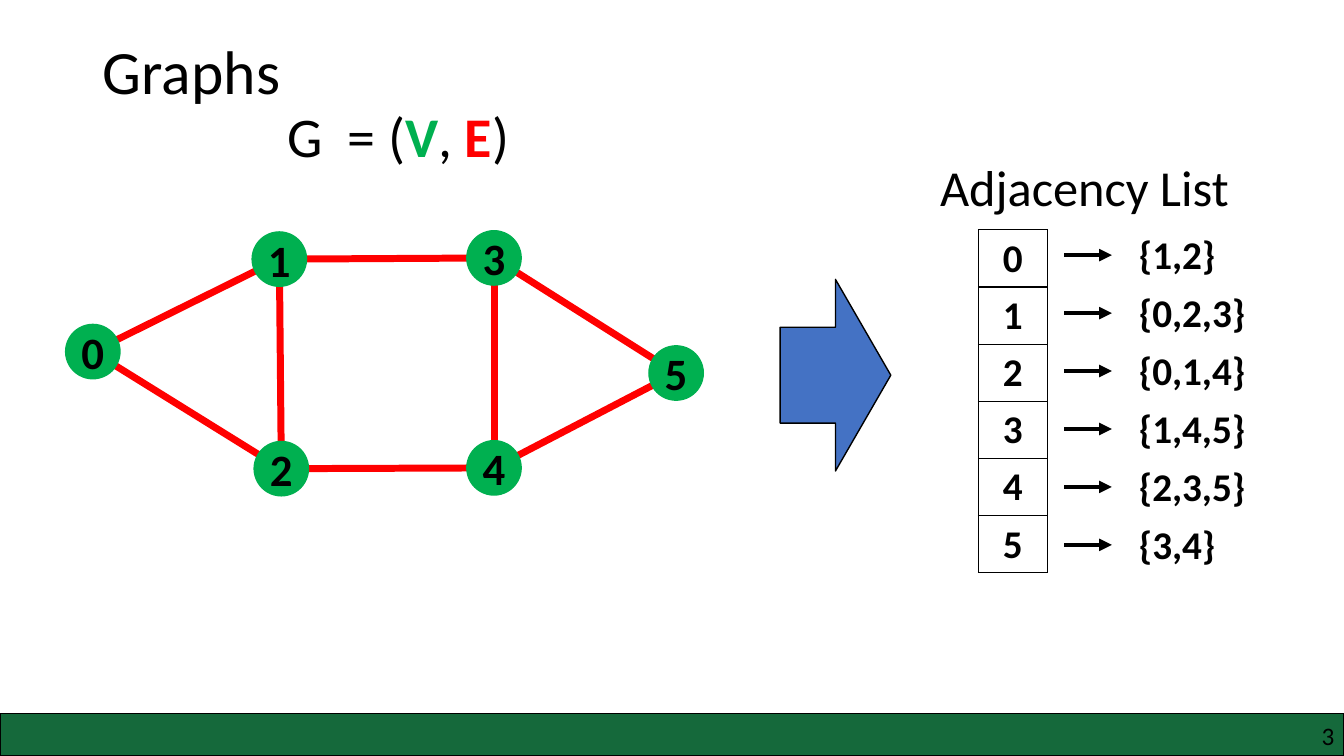
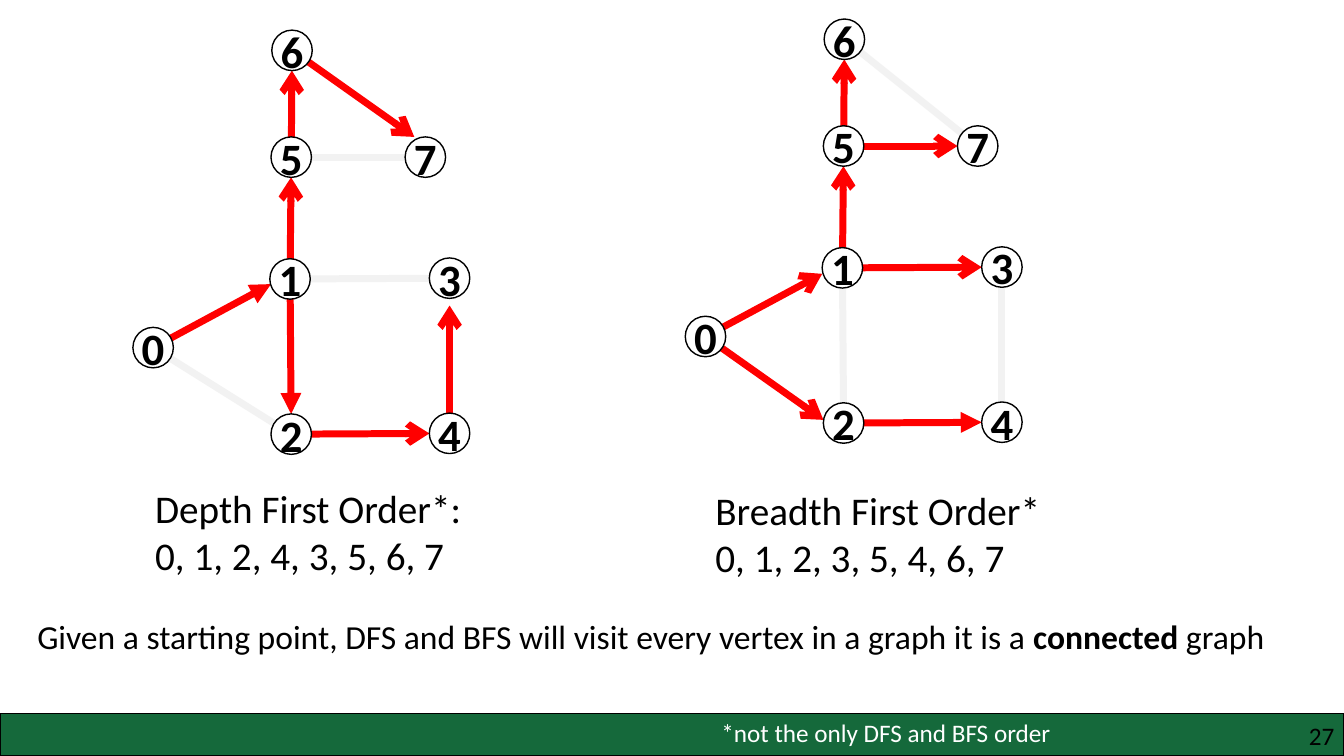
from math import hypot

from lxml.etree import SubElement
from pptx import Presentation
from pptx.dml.color import RGBColor
from pptx.enum.shapes import MSO_CONNECTOR, MSO_SHAPE
from pptx.enum.text import MSO_ANCHOR, PP_ALIGN
from pptx.oxml.ns import qn
from pptx.util import Cm, Pt

BLACK = RGBColor(0x00, 0x00, 0x00)
WHITE = RGBColor(0xFF, 0xFF, 0xFF)
RED = RGBColor(0xFF, 0x00, 0x00)
GREEN = RGBColor(0x00, 0xB0, 0x50)
BAND_GREEN = RGBColor(0x15, 0x69, 0x3B)
BLUE = RGBColor(0x44, 0x72, 0xC4)
PALE_GREY = RGBColor(0xF2, 0xF2, 0xF2)

FONT = "Calibri"
WIDTH, HEIGHT = 33.87, 19.05
BAND_TOP = 17.98
TITLE_ONLY, BLANK = 5, 6
EDGE_WIDTH = 5

# Vertex centres in cm, indexed by vertex number
SIMPLE_NODES = [(2.34, 8.86), (7.04, 6.53), (7.09, 11.81),
                (12.45, 6.5), (12.45, 11.79), (17.04, 9.4)]
SIMPLE_EDGES = [(0, 1), (0, 2), (1, 2), (1, 3),
                (2, 4), (3, 4), (3, 5), (4, 5)]

# Vertex centres in cm, relative to vertex 0
SEARCH_NODES = [(0, 0), (3.45, -1.73), (3.48, 2.18), (7.47, -1.75),
                (7.47, 2.16), (3.48, -4.8), (3.5, -7.49), (6.86, -4.8)]
SEARCH_EDGES = [(0, 1), (0, 2), (1, 2), (1, 3), (2, 4),
                (3, 4), (1, 5), (5, 6), (5, 7), (6, 7)]

# Visited edge: (arrowhead, tip offset from the target's centre or None)
DEPTH_FIRST = {
    (0, 1): ("triangle", (-0.48, 0.13)),
    (1, 2): ("triangle", None),
    (2, 4): ("arrow", None),
    (4, 3): ("arrow", (0, 0.69)),
    (1, 5): ("arrow", None),
    (5, 6): ("arrow", None),
    (6, 7): ("arrow", (-0.28, -0.51)),
}
BREADTH_FIRST = {
    (0, 1): ("arrow", (-0.51, 0.15)),
    (0, 2): ("arrow", (-0.51, -0.08)),
    (1, 3): ("arrow", None),
    (1, 5): ("arrow", None),
    (2, 4): ("triangle", None),
    (5, 6): ("arrow", None),
    (5, 7): ("arrow", None),
}


def fill_text(tf, paragraphs, size, color=BLACK, bold=False,
              align=PP_ALIGN.LEFT):
    """Write paragraphs; each is a string or a list of (text, format) runs."""
    for i, content in enumerate(paragraphs):
        p = tf.paragraphs[0] if i == 0 else tf.add_paragraph()
        p.alignment = align
        runs = [(content, {})] if isinstance(content, str) else content
        for text, extra in runs:
            r = p.add_run()
            r.text = text
            fmt = {"name": FONT, "size": Pt(size), "bold": bold, **extra}
            r.font.color.rgb = fmt.pop("color", color)
            for name, value in fmt.items():
                setattr(r.font, name, value)


def set_margins(tf, margin):
    for side in ("left", "top", "right", "bottom"):
        setattr(tf, f"margin_{side}", Cm(margin))


def add_text(slide, box, paragraphs, size, margin=None, **fmt):
    sp = slide.shapes.add_textbox(*map(Cm, box))
    tf = sp.text_frame
    tf.word_wrap = True
    if margin is not None:
        set_margins(tf, margin)
    fill_text(tf, paragraphs, size, **fmt)
    return sp


def add_shape(slide, kind, box, fill, line):
    sp = slide.shapes.add_shape(kind, *map(Cm, box))
    sp.shadow.inherit = False
    sp.fill.solid()
    sp.fill.fore_color.rgb = fill
    sp.line.color.rgb = line
    sp.line.width = Pt(1)
    return sp


def add_line(slide, start, end, color, width, head=None):
    c = slide.shapes.add_connector(MSO_CONNECTOR.STRAIGHT,
                                   *map(Cm, (*start, *end)))
    c.line.color.rgb = color
    c.line.width = Pt(width)
    props = c._element.spPr
    if head:
        SubElement(props.find(qn("a:ln")), qn("a:tailEnd"), type=head)
    SubElement(props, qn("a:effectLst"))
    return c


def add_nodes(slide, centres, diameter, fill, line):
    for number, (x, y) in enumerate(centres):
        box = (x - diameter / 2, y - diameter / 2, diameter, diameter)
        sp = add_shape(slide, MSO_SHAPE.OVAL, box, fill, line)
        tf = sp.text_frame
        tf.word_wrap = False
        tf.vertical_anchor = MSO_ANCHOR.MIDDLE
        set_margins(tf, 0)
        fill_text(tf, [str(number)], 32, bold=True, align=PP_ALIGN.CENTER)


def add_footer(slide, number):
    add_shape(slide, MSO_SHAPE.RECTANGLE,
              (0, BAND_TOP, WIDTH, HEIGHT - BAND_TOP), BAND_GREEN, BLACK)
    add_text(slide, (25.83, 18.16, 7.8, 0.76), [str(number)], 18,
             margin=0, align=PP_ALIGN.RIGHT)


def add_title(slide, text):
    title = slide.shapes.title
    box = {"left": 2.34, "top": 0.05, "width": 29.21, "height": 3.68}
    for name, value in box.items():
        setattr(title, name, Cm(value))
    tf = title.text_frame
    tf.vertical_anchor = MSO_ANCHOR.MIDDLE
    fill_text(tf, [text], 44)
    tf.paragraphs[0].line_spacing = 0.9


def border_cell(cell):
    props = cell._tc.get_or_add_tcPr()
    for i, side in enumerate(("lnL", "lnR", "lnT", "lnB")):
        ln = SubElement(props, qn(f"a:{side}"), w=str(Pt(1)))
        fill = SubElement(ln, qn("a:solidFill"))
        SubElement(fill, qn("a:srgbClr"), val=str(BLACK))
        props.remove(ln)
        props.insert(i, ln)


def add_adjacency_list(slide, count, edges):
    """Draw the vertex column with an arrow to each vertex's neighbours."""
    row_height, pitch = 1.44, 1.46
    table = slide.shapes.add_table(
        count, 1, *map(Cm, (24.66, 5.79, 1.73, count * row_height))).table
    table.first_row = table.horz_banding = False
    for v in range(count):
        table.rows[v].height = Cm(row_height)
        cell = table.cell(v, 0)
        cell.fill.background()
        border_cell(cell)
        fill_text(cell.text_frame, [str(v)], 28, bold=True,
                  align=PP_ALIGN.CENTER)

        y = 6.43 + v * pitch
        add_line(slide, (26.82, y), (28.02, y), BLACK, 3, "triangle")
        neighbours = sorted(a + b - v for a, b in edges if v in (a, b))
        text = "{" + ",".join(map(str, neighbours)) + "}"
        add_text(slide, (28.45, y - 0.74, 3.7, 1.45), [text], 28, bold=True)


def add_search(slide, origin, visited):
    """Draw the search graph, with visited edges as red arrows."""
    diameter = 1.02
    centres = [(origin[0] + x, origin[1] + y) for x, y in SEARCH_NODES]
    for a, b in SEARCH_EDGES:
        if (a, b) not in visited and (b, a) not in visited:
            add_line(slide, centres[a], centres[b], PALE_GREY, EDGE_WIDTH)
    for (a, b), (head, tip) in visited.items():
        (x1, y1), (x2, y2) = centres[a], centres[b]
        if tip is None:
            scale = diameter / 2 / hypot(x1 - x2, y1 - y2)
            tip = ((x1 - x2) * scale, (y1 - y2) * scale)
        add_line(slide, (x1, y1), (x2 + tip[0], y2 + tip[1]),
                 RED, EDGE_WIDTH, head)
    add_nodes(slide, centres, diameter, WHITE, BLACK)


def build_graphs(prs):
    slide = prs.slides.add_slide(prs.slide_layouts[TITLE_ONLY])
    add_title(slide, "Graphs")
    add_text(slide, (6.99, 2.44, 6.6, 1.96), [[
        ("G  = (", {}),
        ("V", {"color": GREEN, "bold": True}),
        (", ", {}),
        ("E", {"color": RED, "bold": True}),
        (")", {}),
    ]], 40)
    for a, b in SIMPLE_EDGES:
        add_line(slide, SIMPLE_NODES[a], SIMPLE_NODES[b], RED, EDGE_WIDTH)
    add_nodes(slide, SIMPLE_NODES, 1.37, GREEN, GREEN)
    add_shape(slide, MSO_SHAPE.RIGHT_ARROW, (19.66, 7.04, 2.79, 4.83),
              BLUE, BLACK)
    add_text(slide, (23.44, 3.81, 10.4, 1.8), ["Adjacency List"], 36)
    add_adjacency_list(slide, len(SIMPLE_NODES), SIMPLE_EDGES)
    add_footer(slide, 3)


def build_search_orders(prs):
    slide = prs.slides.add_slide(prs.slide_layouts[BLANK])
    add_footer(slide, 27)
    add_search(slide, (3.86, 8.76), DEPTH_FIRST)
    add_search(slide, (17.78, 8.48), BREADTH_FIRST)
    add_text(slide, (3.66, 12.07, 9, 2.64),
             ["Depth First Order*:", "0, 1, 2, 4, 3, 5, 6, 7"], 28)
    add_text(slide, (17.78, 12.12, 9.5, 2.64),
             ["Breadth First Order*", "0, 1, 2, 3, 5, 4, 6, 7"], 28)
    add_text(slide, (0.69, 15.39, 32.5, 1.27), [[
        ("Given a starting point, DFS and BFS will visit every vertex "
         "in a graph it is a ", {}),
        ("connected", {"bold": True}),
        (" graph", {}),
    ]], 24)
    add_text(slide, (17.93, 17.96, 9.5, 1.02),
             ["*not the only DFS and BFS order"], 18, color=WHITE)


def main():
    prs = Presentation()
    prs.slide_width, prs.slide_height = Cm(WIDTH), Cm(HEIGHT)
    build_graphs(prs)
    build_search_orders(prs)
    prs.save("out.pptx")


if __name__ == "__main__":
    main()
